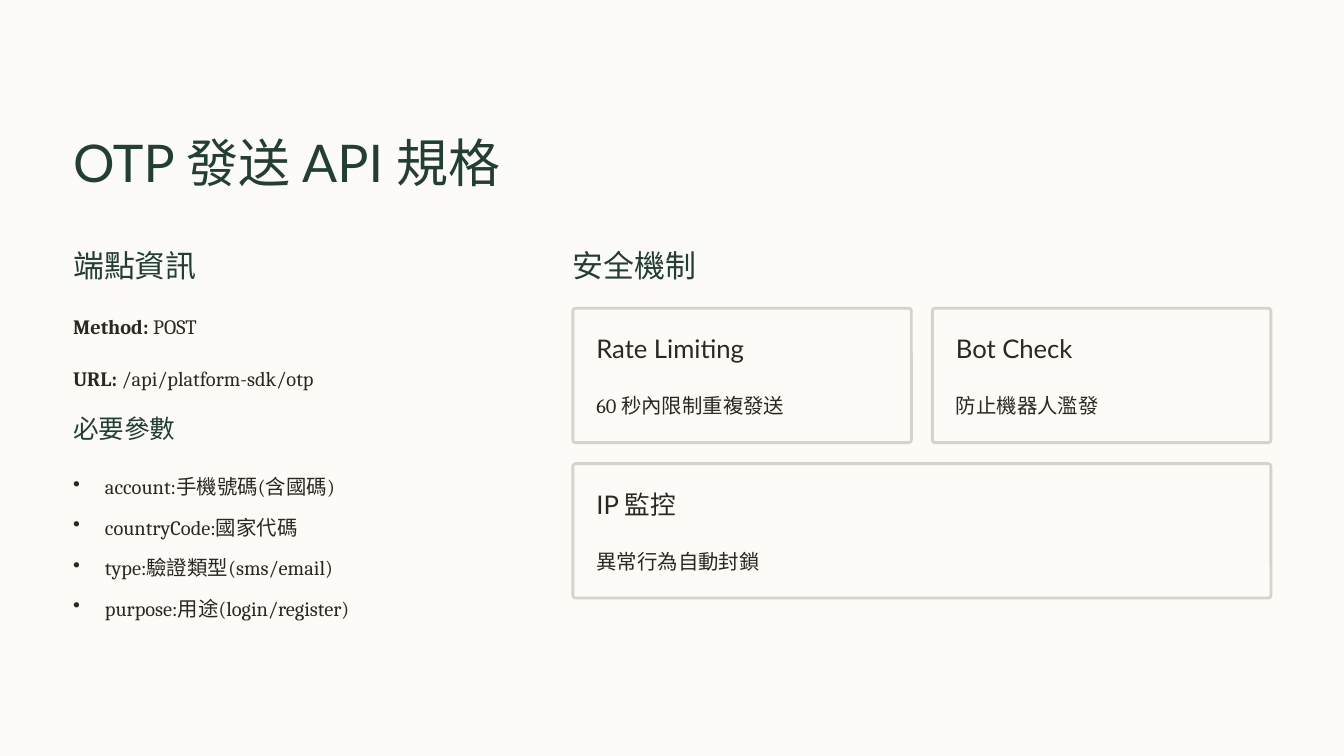
from pptx import Presentation
from pptx.dml.color import RGBColor
from pptx.enum.shapes import MSO_SHAPE
from pptx.enum.text import MSO_ANCHOR, MSO_AUTO_SIZE, PP_ALIGN
from pptx.oxml.ns import qn
from pptx.util import Inches, Pt
from lxml import etree

CREAM = RGBColor(0xFC, 0xFB, 0xF8)
GREEN = RGBColor(0x23, 0x3E, 0x32)
INK = RGBColor(0x2C, 0x28, 0x21)
BORDER = RGBColor(0xD6, 0xD3, 0xCC)

# Text styles: font, size, line spacing, colour
TITLE = ("Lato", 44.5, 55.5, GREEN)
SECTION = ("Lato", 26.5, 33, GREEN)
SUBSECTION = ("Lato", 22, 27.5, GREEN)
CARD_HEADING = ("Lato", 22, 27.5, INK)
BODY = ("Cambria", 17.5, 28.5, INK)

LEFT, RIGHT = 0.87, 6.82
SECTION_TOP = 2.92


def write(box, paragraphs, style, bulleted=False):
    """Fill a box; each paragraph is a list of (text, bold) runs."""
    font, size, spacing, colour = style
    frame = box.text_frame
    frame.margin_left = frame.margin_right = frame.margin_top = frame.margin_bottom = 0
    frame.word_wrap = True
    frame.auto_size = MSO_AUTO_SIZE.NONE
    frame.vertical_anchor = MSO_ANCHOR.TOP
    for number, spans in enumerate(paragraphs):
        para = frame.add_paragraph() if number else frame.paragraphs[0]
        para.alignment = PP_ALIGN.LEFT
        para.line_spacing = Pt(spacing)
        if bulleted:
            para.space_after = Pt(6.25)
            properties = para._p.get_or_add_pPr()
            properties.set("marL", str(Inches(0.38)))
            properties.set("indent", str(-Inches(0.38)))
            etree.SubElement(properties, qn("a:buChar"), char="•")
            para.font.name = font
            para.font.size = Pt(size)
        for text, bold in spans:
            span = para.add_run()
            span.text = text
            span.font.name = font
            span.font.size = Pt(size)
            span.font.bold = bold
            span.font.color.rgb = colour


def add_text(left, top, width, height, paragraphs, style, bulleted=False):
    box = page.shapes.add_textbox(Inches(left), Inches(top), Inches(width), Inches(height))
    write(box, paragraphs, style, bulleted)


deck = Presentation()
deck.slide_width, deck.slide_height = Inches(16), Inches(9)
page = deck.slides.add_slide(deck.slide_layouts[5])
page.background.fill.solid()
page.background.fill.fore_color.rgb = CREAM

# Title
title = page.shapes.title
title.left, title.top = Inches(LEFT), Inches(1.53)
title.width, title.height = Inches(6.2), Inches(0.78)
write(title, [[("OTP 發送 API 規格", False)]], TITLE)

# Section headings
for left, heading in [(LEFT, "端點資訊"), (RIGHT, "安全機制")]:
    add_text(left, SECTION_TOP, 3.72, 0.47, [[(heading, False)]], SECTION)

# Endpoint details
for top, label, value in [(3.64, "Method:", " POST"), (4.26, "URL:", " /api/platform-sdk/otp")]:
    add_text(LEFT, top, 5.34, 0.4, [[(label, True), (value, False)]], BODY)

# Required parameters
add_text(LEFT, 4.9, 3.1, 0.39, [[("必要參數", False)]], SUBSECTION)
parameters = [
    "account:手機號碼(含國碼)",
    "countryCode:國家代碼",
    "type:驗證類型(sms/email)",
    "purpose:用途(login/register)",
]
add_text(LEFT, 5.54, 5.34, 1.85, [[(text, False)] for text in parameters], BODY, bulleted=True)

# Security cards
CARD_WIDTH, CARD_HEIGHT, GAP, PADDING = 4.03, 1.6, 0.25, 0.28
CARD_TOP = 3.67
cards = [
    (0, 0, 1, "Rate Limiting", "60 秒內限制重複發送"),
    (0, 1, 1, "Bot Check", "防止機器人濫發"),
    (1, 0, 2, "IP 監控", "異常行為自動封鎖"),
]
for row, column, columns, heading, detail in cards:
    left = RIGHT + column * (CARD_WIDTH + GAP)
    top = CARD_TOP + row * (CARD_HEIGHT + GAP)
    width = columns * CARD_WIDTH + (columns - 1) * GAP
    card = page.shapes.add_shape(MSO_SHAPE.ROUNDED_RECTANGLE, Inches(left), Inches(top),
                                 Inches(width), Inches(CARD_HEIGHT))
    card.adjustments[0] = 0.02
    card.shadow.inherit = False
    card.fill.solid()
    card.fill.fore_color.rgb = CREAM
    card.line.color.rgb = BORDER
    card.line.width = Pt(2.4)
    add_text(left + PADDING, top + PADDING, 3.1, 0.39, [[(heading, False)]], CARD_HEADING)
    add_text(left + PADDING, top + 0.91, width - 2 * PADDING, 0.4, [[(detail, False)]], BODY)

deck.save("out.pptx")
